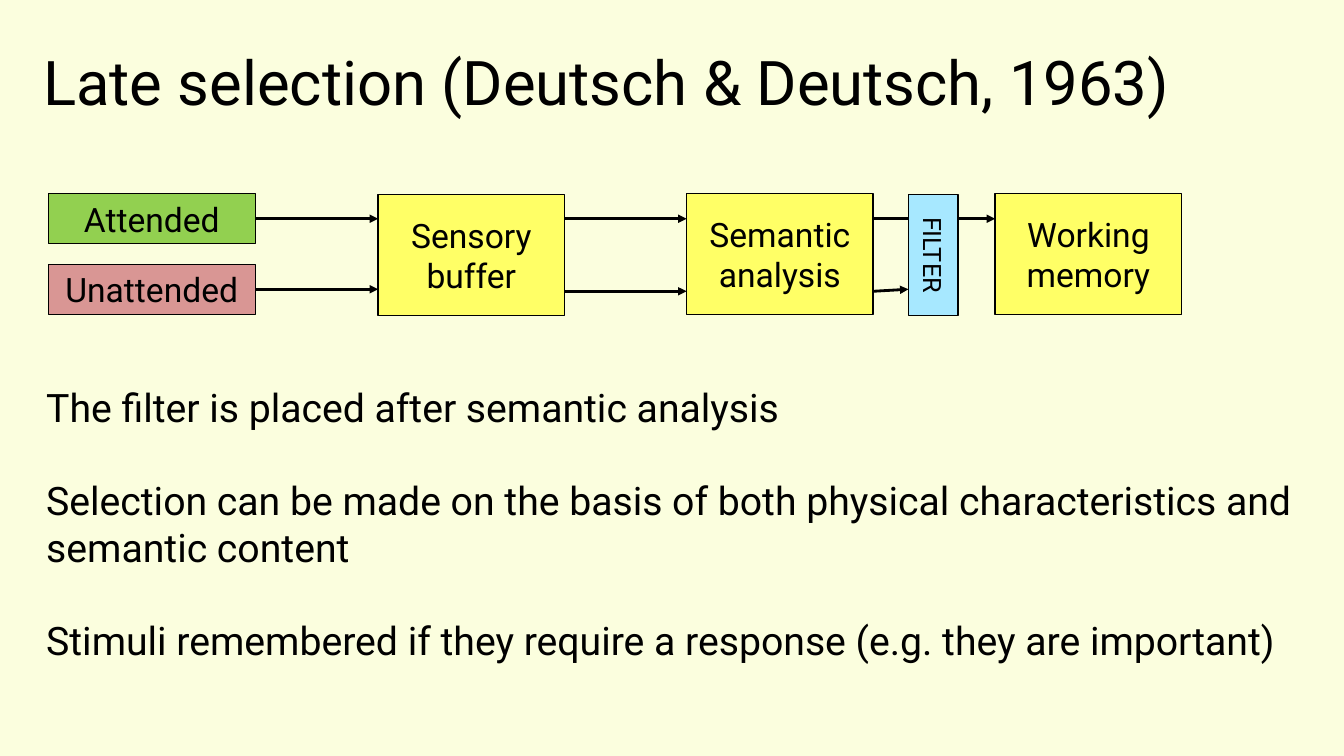
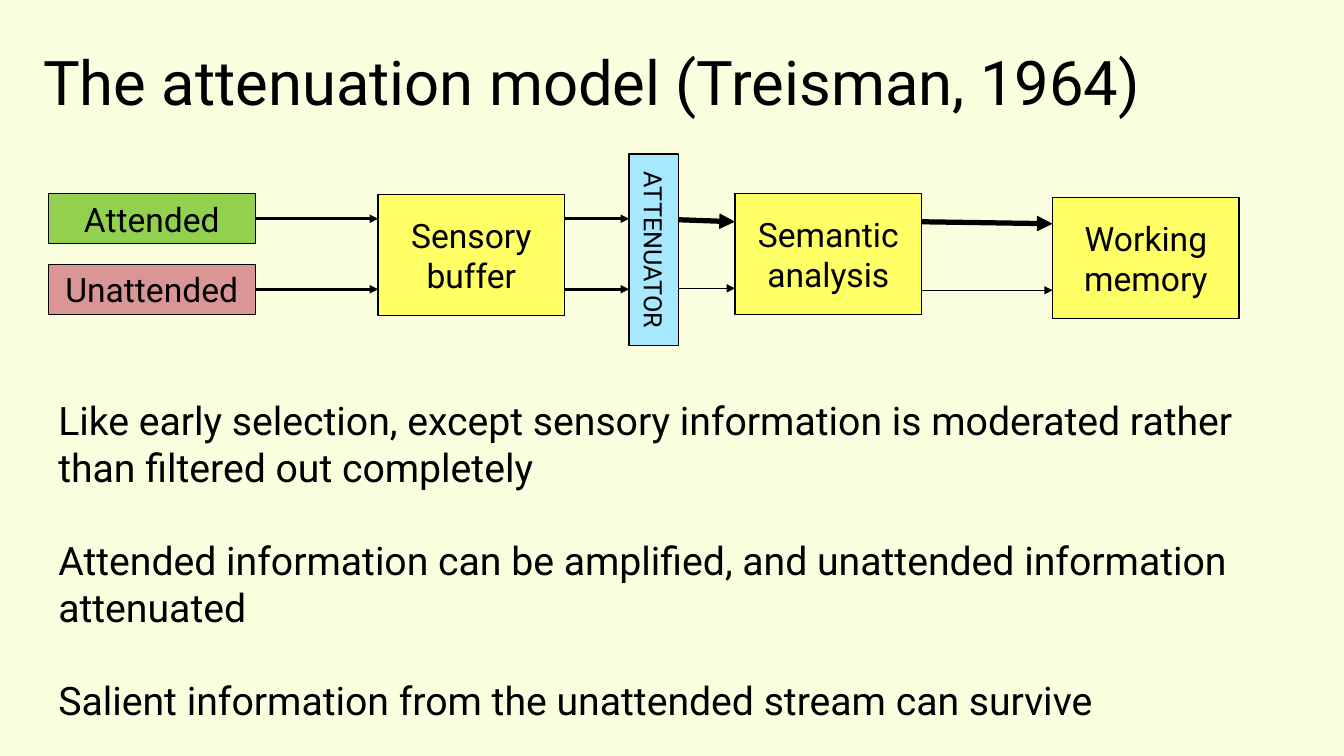
from dataclasses import dataclass

from lxml import etree
from pptx import Presentation
from pptx import util as u
from pptx.dml.color import RGBColor
from pptx.enum import shapes, text
from pptx.oxml.ns import qn


@dataclass(frozen=True)
class Theme:
    """Colours, font and sizes shared by the slides."""
    font: str = "Roboto"
    background: str = "FBFEDE"
    ink: str = "000000"
    attended: str = "92D050"
    unattended: str = "D99694"
    stage: str = "FFFF66"
    gate: str = "A7E8FF"
    title_size: float = 44
    body_size: float = 28
    body_gap: float = 33
    stage_size: float = 24
    gate_size: float = 18
    thin: float = 0.75
    outline: float = 1
    normal: float = 2
    thick: float = 3.75


THEME = Theme()
TITLE_BOX = (0.33, 0.08, 11.5, 1.45)
FLOW_ORIGIN = (0.48, 1.92)
INPUT_WIDTH, INPUT_HEIGHT, INPUT_STEP = 2.05, 0.5, 0.7
STAGE_WIDTH, STAGE_HEIGHT = 1.85, 1.2
GATE_WIDTH = 0.49
SENSORY_X = 3.27
SENSORY_END = SENSORY_X + STAGE_WIDTH
UPPER, LOWER = 0.25, 0.95


def colour(value):
    """Turn a hex string into a colour."""
    return RGBColor.from_string(value)


def inches(values):
    """Convert numbers to lengths."""
    return [u.Inches(value) for value in values]


def write(frame, paragraphs, size, align, gap=0):
    """Fill a text frame with paragraphs in the theme font."""
    frame.word_wrap = True
    frame.text = "\n".join(paragraphs)
    for index, paragraph in enumerate(frame.paragraphs):
        paragraph.alignment = align
        if index:
            paragraph.space_before = u.Pt(gap)
        for run in paragraph.runs:
            run.font.name = THEME.font
            run.font.size = u.Pt(size)
            run.font.color.rgb = colour(THEME.ink)


def add_title(slide, title, box):
    """Place the slide title, centred vertically in its box."""
    frame = slide.shapes.add_textbox(*inches(box)).text_frame
    frame.vertical_anchor = text.MSO_ANCHOR.MIDDLE
    write(frame, [title], THEME.title_size, text.PP_ALIGN.LEFT)


def add_body(slide, points, box):
    """Place the explanatory points below the flow."""
    frame = slide.shapes.add_textbox(*inches(box)).text_frame
    write(frame, points, THEME.body_size, text.PP_ALIGN.LEFT, THEME.body_gap)


def add_block(slide, label, box, fill, size, outline=THEME.outline):
    """Place one outlined, labelled block of the flow."""
    block = slide.shapes.add_shape(shapes.MSO_SHAPE.RECTANGLE, *inches(box))
    block.shadow.inherit = False
    block.fill.solid()
    block.fill.fore_color.rgb = colour(fill)
    block.line.color.rgb = colour(THEME.ink)
    block.line.width = u.Pt(outline)
    block.text_frame.vertical_anchor = text.MSO_ANCHOR.MIDDLE
    write(block.text_frame, [label], size, text.PP_ALIGN.CENTER)
    return block


def add_arrow(slide, origin, start, end, width):
    """Draw an arrow between two points relative to the origin."""
    left, top = origin
    arrow = slide.shapes.add_connector(
        shapes.MSO_CONNECTOR.STRAIGHT,
        *inches((left + start[0], top + start[1], left + end[0], top + end[1])))
    arrow.line.color.rgb = colour(THEME.ink)
    arrow.line.width = u.Pt(width)
    etree.SubElement(arrow.line._get_or_add_ln(), qn("a:tailEnd"), type="triangle")
    etree.SubElement(arrow.element.spPr, qn("a:effectLst"))


def add_flow(slide, origin, stages, gate, arrows):
    """Draw inputs, stages, arrows and the gate of a selection model."""
    left, top = origin
    inputs = [("Attended", THEME.attended), ("Unattended", THEME.unattended)]
    for row, (label, fill) in enumerate(inputs):
        box = (left, top + row * INPUT_STEP, INPUT_WIDTH, INPUT_HEIGHT)
        add_block(slide, label, box, fill, THEME.stage_size, THEME.thin)
    for label, x, y in [("Sensory buffer", SENSORY_X, 0.01), *stages]:
        box = (left + x, top + y, STAGE_WIDTH, STAGE_HEIGHT)
        add_block(slide, label, box, THEME.stage, THEME.stage_size)
    feeds = [((INPUT_WIDTH, lane), (SENSORY_X, lane), THEME.normal)
             for lane in (UPPER, LOWER)]
    for start, end, width in feeds + arrows:
        add_arrow(slide, origin, start, end, width)
    label, x, y, height = gate
    box = (left + x, top + y, GATE_WIDTH, height)
    barrier = add_block(slide, label, box, THEME.gate, THEME.gate_size)
    barrier.element.txBody.bodyPr.set("vert", "vert")


def add_model_slide(deck, title, stages, gate, arrows, points, body_box):
    """Add one slide that presents a model of attention."""
    slide = deck.slides.add_slide(deck.slide_layouts[6])
    add_title(slide, title, TITLE_BOX)
    add_flow(slide, FLOW_ORIGIN, stages, gate, arrows)
    add_body(slide, points, body_box)


def add_late_selection(deck):
    """Add the late selection model."""
    semantic_x, filter_x, memory_x = 6.33, 8.53, 9.39
    semantic_end = semantic_x + STAGE_WIDTH
    add_model_slide(
        deck, "Late selection (Deutsch & Deutsch, 1963)",
        [("Semantic analysis", semantic_x, 0), ("Working memory", memory_x, 0)],
        ("FILTER", filter_x, 0.01, STAGE_HEIGHT),
        [((SENSORY_END, UPPER), (semantic_x, UPPER), THEME.normal),
         ((SENSORY_END, 0.97), (semantic_x, 0.97), THEME.normal),
         ((semantic_end, UPPER), (memory_x, UPPER), THEME.normal),
         ((semantic_end, 0.97), (filter_x, LOWER), THEME.normal)],
        ["The filter is placed after semantic analysis",
         "Selection can be made on the basis of both physical characteristics "
         "and semantic content",
         "Stimuli remembered if they require a response (e.g. they are important)"],
        (0.36, 3.75, 12.62, 3.4))


def add_attenuation(deck):
    """Add the attenuation model."""
    gate_x, semantic_x, memory_x = 5.76, 6.81, 9.96
    gate_end, semantic_end = gate_x + GATE_WIDTH, semantic_x + STAGE_WIDTH
    add_model_slide(
        deck, "The attenuation model (Treisman, 1964)",
        [("Semantic analysis", semantic_x, 0), ("Working memory", memory_x, 0.04)],
        ("ATTENUATOR", gate_x, -0.39, 1.9),
        [((SENSORY_END, UPPER), (gate_x, UPPER), THEME.normal),
         ((SENSORY_END, LOWER), (gate_x, LOWER), THEME.normal),
         ((gate_end, 0.26), (semantic_x, 0.28), THEME.thick),
         ((gate_end, 0.94), (semantic_x, 0.94), THEME.thin),
         ((semantic_end, 0.28), (memory_x, 0.3), THEME.thick),
         ((semantic_end, 0.96), (memory_x, 0.96), THEME.thin)],
        ["Like early selection, except sensory information is moderated rather "
         "than filtered out completely",
         "Attended information can be amplified, and unattended information "
         "attenuated",
         "Salient information from the unattended stream can survive"],
        (0.48, 3.88, 12.62, 3.87))


def main():
    """Build and save the deck."""
    deck = Presentation()
    deck.slide_width, deck.slide_height = inches((13.33, 7.5))
    backdrop = deck.slide_master.background.fill
    backdrop.solid()
    backdrop.fore_color.rgb = colour(THEME.background)
    add_late_selection(deck)
    add_attenuation(deck)
    deck.save("out.pptx")


if __name__ == "__main__":
    main()
